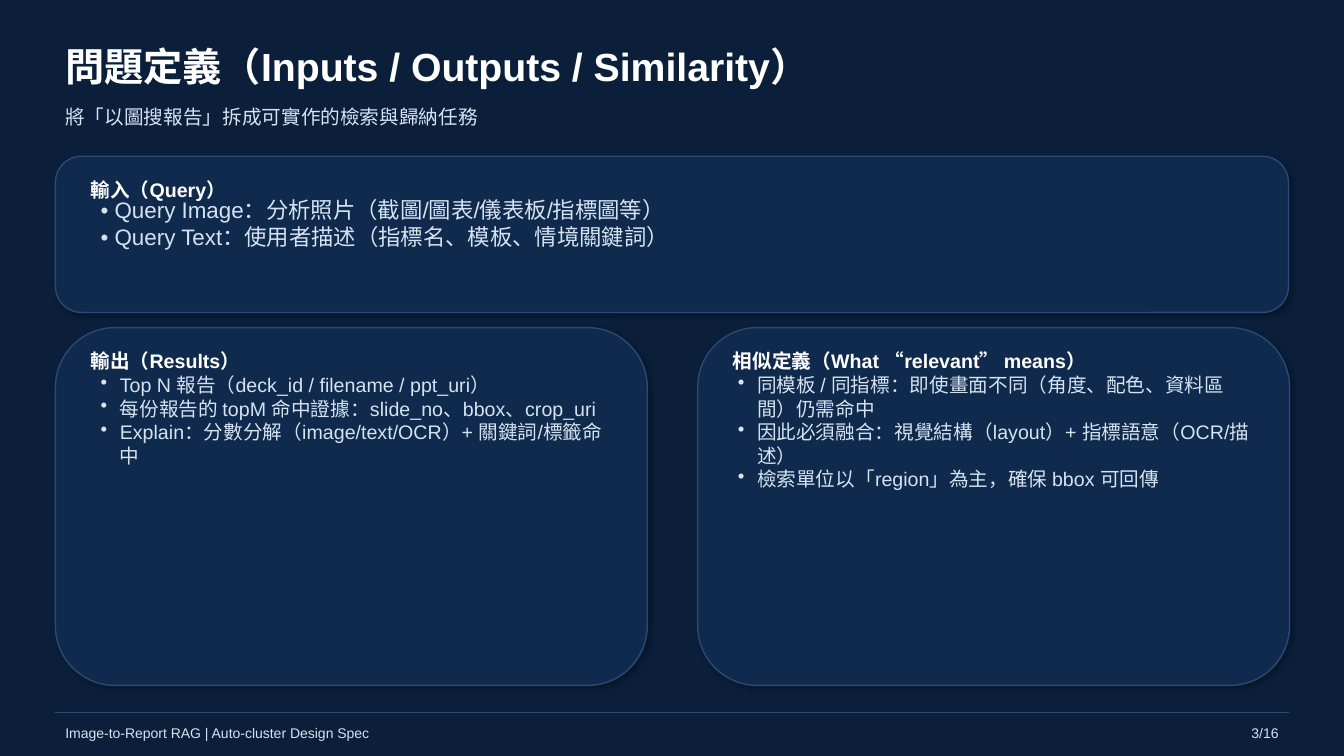
from lxml.etree import SubElement
from pptx import Presentation
from pptx.dml.color import RGBColor
from pptx.enum.shapes import MSO_CONNECTOR, MSO_SHAPE
from pptx.enum.text import MSO_ANCHOR, PP_ALIGN
from pptx.oxml.ns import qn
from pptx.util import Pt

# Content
TITLE = "問題定義（Inputs / Outputs / Similarity）"
SUBTITLE = "將「以圖搜報告」拆成可實作的檢索與歸納任務"
FOOTER = "Image-to-Report RAG | Auto-cluster Design Spec"
PAGE = "3/16"
QUERY = ("輸入（Query）", [
    "• Query Image：分析照片（截圖/圖表/儀表板/指標圖等）",
    "• Query Text：使用者描述（指標名、模板、情境關鍵詞）",
])
RESULTS = ("輸出（Results）", [
    "Top N 報告（deck_id / filename / ppt_uri）",
    "每份報告的 topM 命中證據：slide_no、bbox、crop_uri",
    "Explain：分數分解（image/text/OCR）+ 關鍵詞/標籤命中",
])
SIMILARITY = ("相似定義（What “relevant” means）", [
    "同模板 / 同指標：即使畫面不同（角度、配色、資料區間）仍需命中",
    "因此必須融合：視覺結構（layout）+ 指標語意（OCR/描述）",
    "檢索單位以「region」為主，確保 bbox 可回傳",
])

# Style
FONT = "Arial"
NAVY = RGBColor(0x0B, 0x1F, 0x3B)
CARD_BLUE = RGBColor(0x0F, 0x2A, 0x4D)
EDGE_BLUE = RGBColor(0x2A, 0x4A, 0x74)
WHITE = RGBColor(0xFF, 0xFF, 0xFF)
PALE = RGBColor(0xD6, 0xE2, 0xF0)

# Layout in px, 100 px to the inch
PX = 9144
SLIDE_W, SLIDE_H = 1333, 750
MARGIN, GAP = 55, 50
FULL_W = SLIDE_W - 2 * MARGIN
HALF_W = (FULL_W - GAP) // 2 + 1
RIGHT_X = SLIDE_W - MARGIN - HALF_W + 1
LOWER_Y, LOWER_H = 325, 355
BULLET_INDENT = 19


def emu(*lengths):
    return [length * PX for length in lengths]


def add_text(box, lines, size, color, bold=False, anchor=MSO_ANCHOR.MIDDLE,
             align=PP_ALIGN.LEFT, bulleted=False):
    frame = slide.shapes.add_textbox(*emu(*box)).text_frame
    frame.word_wrap = True
    frame.vertical_anchor = anchor
    for index, line in enumerate(lines):
        paragraph = frame.add_paragraph() if index else frame.paragraphs[0]
        paragraph.alignment = align
        run = paragraph.add_run()
        run.text = line
        run.font.name = FONT
        run.font.size = Pt(size)
        run.font.bold = bold
        run.font.color.rgb = color
        if bulleted:
            properties = paragraph._p.get_or_add_pPr()
            properties.set("marL", str(BULLET_INDENT * PX))
            properties.set("indent", str(-BULLET_INDENT * PX))
            SubElement(properties, qn("a:buChar"), char="•")


def add_card(box, content, body_box, body_size, bulleted):
    heading, points = content
    left, top, width, _ = box
    card = slide.shapes.add_shape(MSO_SHAPE.ROUNDED_RECTANGLE, *emu(*box))
    card.fill.solid()
    card.fill.fore_color.rgb = CARD_BLUE
    card.line.color.rgb = EDGE_BLUE
    card.line.width = Pt(1)
    # Soft shadow to the lower right
    card.shadow.inherit = False
    effects = card._element.spPr.find(qn("a:effectLst"))
    shadow = SubElement(effects, qn("a:outerShdw"), blurRad=str(Pt(3)),
                        dist=str(Pt(2)), dir=str(45 * 60000),
                        algn="tl", rotWithShape="0")
    shade = SubElement(shadow, qn("a:srgbClr"), val="000000")
    SubElement(shade, qn("a:alpha"), val="25000")

    add_text((left + 25, top + 18, width - 50, 30), [heading], 14, WHITE, bold=True)
    add_text(body_box, points, body_size, PALE, anchor=MSO_ANCHOR.TOP,
             bulleted=bulleted)


presentation = Presentation()
presentation.slide_width, presentation.slide_height = emu(SLIDE_W, SLIDE_H)
slide = presentation.slides.add_slide(presentation.slide_layouts[6])
slide.background.fill.solid()
slide.background.fill.fore_color.rgb = NAVY

# Header
add_text((MARGIN, 35, FULL_W, 60), [TITLE], 28, WHITE, bold=True)
add_text((MARGIN, 98, FULL_W, 35), [SUBTITLE], 14, PALE)

# Cards
add_card((MARGIN, 155, FULL_W, 155), QUERY,
         (90, 190, FULL_W - 70, 110), 16, bulleted=False)
for left, body_left, content in ((MARGIN, 90, RESULTS),
                                 (RIGHT_X, 722, SIMILARITY)):
    add_card((left, LOWER_Y, HALF_W, LOWER_H), content,
             (body_left, LOWER_Y + 40, HALF_W - 60, 105), 14, bulleted=True)

# Footer
rule = slide.shapes.add_connector(
    MSO_CONNECTOR.STRAIGHT, *emu(MARGIN, 707, MARGIN + FULL_W, 707))
rule.line.color.rgb = EDGE_BLUE
rule.line.width = Pt(1)
SubElement(rule._element.spPr, qn("a:effectLst"))
add_text((MARGIN, 715, FULL_W - 150, 25), [FOOTER], 10, PALE)
add_text((MARGIN + FULL_W - 100, 715, 100, 25), [PAGE], 10, PALE,
         align=PP_ALIGN.RIGHT)

presentation.save("out.pptx")
